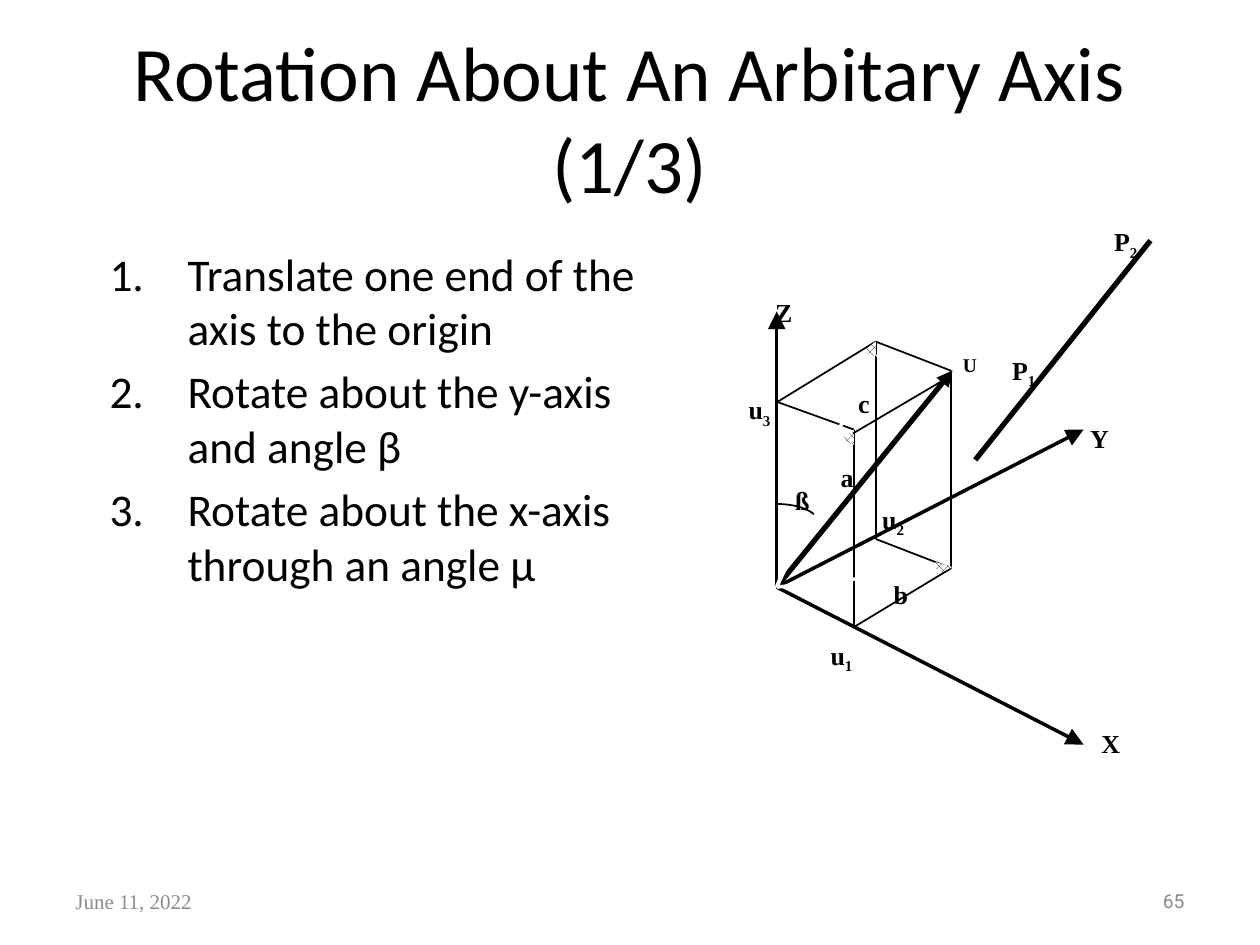
import pptx
import pptx.util
import pptx.dml.color
import pptx.enum.dml
import pptx.enum.shapes
import pptx.enum.text
import pptx.oxml.ns
from lxml import etree

Pt = pptx.util.Pt
RGB = pptx.dml.color.RGBColor
Align = pptx.enum.text.PP_ALIGN
Anchor = pptx.enum.text.MSO_ANCHOR
Fit = pptx.enum.text.MSO_AUTO_SIZE
qn = pptx.oxml.ns.qn

BLACK = RGB(0, 0, 0)
WHITE = RGB(255, 255, 255)
GREY = RGB(0x8C, 0x8C, 0x8C)
PALE = RGB(0x89, 0x89, 0x89)
SERIF = "Times New Roman"

# Content
TITLE = "Rotation About An Arbitary Axis (1/3)"
STEPS = [
    "Translate one end of the axis to the origin",
    "Rotate about the y-axis and angle β",
    "Rotate about the x-axis through an angle μ",
]
FOOT = [  # text, left, font, size, colour, alignment
    ("June 11, 2022", 36, SERIF, 12, GREY, Align.LEFT),
    ("65", 516, "Roboto", 11, PALE, Align.RIGHT),
]

# Diagram points: origin, box corners on the floor and on the top
ORIGIN = (443.8, 335.5)
FRONT, RIGHT, BACK = (488, 358.3), (543.6, 324.7), (500.4, 308)
TOP_F, TOP_R, TOP_B = [(x, y - 112.8) for x, y in (FRONT, RIGHT, BACK)]
TOP_L = (444.2, 229.7)

ARROWS = [  # tip, width, head size
    ((443.8, 178), 2, "lg"),
    ((619.2, 425.5), 2, "lg"),
    ((619.2, 245.5), 2, "lg"),
    ((544.3, 211.7), 3, "med"),
]
EDGES = [
    (TOP_R, RIGHT), (RIGHT, FRONT), (RIGHT, BACK), (TOP_F, FRONT),
    (TOP_B, BACK), (TOP_B, TOP_R), (TOP_L, TOP_F), (TOP_L, TOP_B),
]
FRONT_EDGE = ((487.4, 247.7), (543.6, 214.6))
HATCHED = [  # head corners, end of the white shaft
    ([(535.7, 328.3), (534.2, 321.1), (544.3, 324)], (534.2, 326.2)),
    ([(488.2, 254.2), (480.2, 251.3), (488.2, 245.5)], (483.1, 252.7)),
    ([(501.1, 203.8), (493.2, 200.9), (500.4, 195.1)], (496.8, 202.3)),
]
SPAN = ((557.3, 262.8), (657.4, 137.5))
ARC = [(444.2, 288), (452.9, 288), (460.8, 290.2), (465.1, 293.8)]
LABELS = [  # letter, subscript, left, top, width, size
    ("Z", "", 436.3, 166.3, 23, 14.8),
    ("P", "1", 571.7, 199.4, 27.4, 14.8),
    ("P", "2", 630, 126, 27.4, 14.8),
    ("Y", "", 616.3, 238.3, 23.8, 14.8),
    ("X", "", 622.8, 412.6, 23.8, 14.8),
    ("b", "", 504, 327.6, 21.6, 14.8),
    ("a", "", 473.8, 260.6, 20.9, 14.8),
    ("c", "", 483.8, 218.2, 20.2, 14.8),
    ("u", "1", 468, 362.2, 26.6, 14.8),
    ("u", "2", 497.5, 284.4, 26.6, 14.8),
    ("u", "3", 421.2, 221.8, 26.6, 14.8),
    ("ß", "", 447.8, 273.6, 21.6, 14.8),
    ("U", "", 543.6, 198.7, 21.6, 11.1),
]


def style(par, face, size, color, bold=False):
    font = par.font
    font.name, font.size, font.bold = face, Pt(size), bold
    font.color.rgb = color


def place(shape, left, top, width, height):
    shape.left, shape.top = Pt(left), Pt(top)
    shape.width, shape.height = Pt(width), Pt(height)


def line(slide, start, end, width, color=BLACK, head=None):
    ends = [Pt(v) for v in (*start, *end)]
    kind = pptx.enum.shapes.MSO_CONNECTOR.STRAIGHT
    con = slide.shapes.add_connector(kind, *ends)
    con.line.width = Pt(width)
    con.line.color.rgb = color
    if head:
        etree.SubElement(con.line._get_or_add_ln(), qn("a:tailEnd"),
                         type="triangle", w=head, len=head)
    etree.SubElement(con._element.spPr, qn("a:effectLst"))


def outline(slide, points, close):
    spots = [(Pt(x), Pt(y)) for x, y in points]
    pen = slide.shapes.build_freeform(*spots[0])
    pen.add_line_segments(spots[1:], close=close)
    shape = pen.convert_to_shape()
    shape.shadow.inherit = False
    return shape


def curve(points, steps=8):
    """Points along a cubic curve."""
    for i in range(steps + 1):
        t = i / steps
        u = 1 - t
        parts = (u ** 3, 3 * u * u * t, 3 * u * t * t, t ** 3)
        yield tuple(sum(k * p[axis] for k, p in zip(parts, points))
                    for axis in (0, 1))


def label(slide, text, sub, left, top, width, size):
    box = slide.shapes.add_textbox(Pt(left), Pt(top), Pt(width), Pt(24.5))
    frame = box.text_frame
    frame.word_wrap = False
    frame.auto_size = Fit.SHAPE_TO_FIT_TEXT
    frame.margin_left = frame.margin_right = Pt(6.6)
    frame.margin_top = frame.margin_bottom = Pt(3.2)
    par = frame.paragraphs[0]
    par.add_run().text = text
    if sub:
        run = par.add_run()
        run.text = sub
        run._r.get_or_add_rPr().set("baseline", "-25000")
    style(par, SERIF, size, BLACK, True)


def words(slide):
    # Title
    title = slide.shapes.title
    place(title, 36, 21.6, 648, 90)
    title.text_frame.text = TITLE
    title.text_frame.auto_size = Fit.NONE
    title.text_frame.vertical_anchor = Anchor.MIDDLE
    par = title.text_frame.paragraphs[0]
    par.alignment = Align.CENTER
    style(par, "Calibri", 44, BLACK)

    # Numbered steps
    body = slide.placeholders[1]
    place(body, 55.4, 136.8, 321.1, 329)
    frame = body.text_frame
    frame.text = "\n".join(STEPS)
    frame.auto_size = Fit.NONE
    for i, par in enumerate(frame.paragraphs):
        props = par._p.get_or_add_pPr()
        props.set("marL", str(Pt(44.6)))
        props.set("indent", str(-Pt(44.6)))
        par.space_before = Pt(5.2 if i else 0)
        etree.SubElement(props, qn("a:buFont"), typeface="+mj-lt")
        etree.SubElement(props, qn("a:buAutoNum"), type="arabicPeriod")
        style(par, "Calibri", 25.9, BLACK)

    # Date and page number
    for text, left, face, size, color, align in FOOT:
        box = slide.shapes.add_textbox(Pt(left), Pt(500.4), Pt(168), Pt(28.8))
        frame = box.text_frame
        frame.word_wrap = True
        frame.vertical_anchor = Anchor.MIDDLE
        frame.text = text
        par = frame.paragraphs[0]
        par.alignment = align
        style(par, face, size, color)


def diagram(slide):
    # Axes and vector, then the box around it
    for tip, width, head in ARROWS:
        line(slide, ORIGIN, tip, width, head=head)
    for start, end in EDGES:
        line(slide, start, end, 1)

    # Hatched heads on white shafts
    for points, end in HATCHED:
        fill = outline(slide, points, True)
        fill.line.fill.background()
        fill = fill.fill
        fill.patterned()
        fill.pattern = pptx.enum.dml.MSO_PATTERN.PERCENT_50
        fill.fore_color.rgb = BLACK
        fill.back_color.rgb = WHITE
        line(slide, ORIGIN, end, 2, WHITE)

    # Rotation axis, angle and labels
    line(slide, *SPAN, 3)
    arc = outline(slide, list(curve(ARC)), False)
    arc.fill.background()
    arc.line.color.rgb = BLACK
    arc.line.width = Pt(1)
    for item in LABELS:
        label(slide, *item)
    line(slide, *FRONT_EDGE, 1)


def main():
    deck = pptx.Presentation()
    deck.slide_width, deck.slide_height = Pt(720), Pt(540)
    slide = deck.slides.add_slide(deck.slide_layouts[1])
    words(slide)
    diagram(slide)
    deck.save("out.pptx")


if __name__ == "__main__":
    main()
